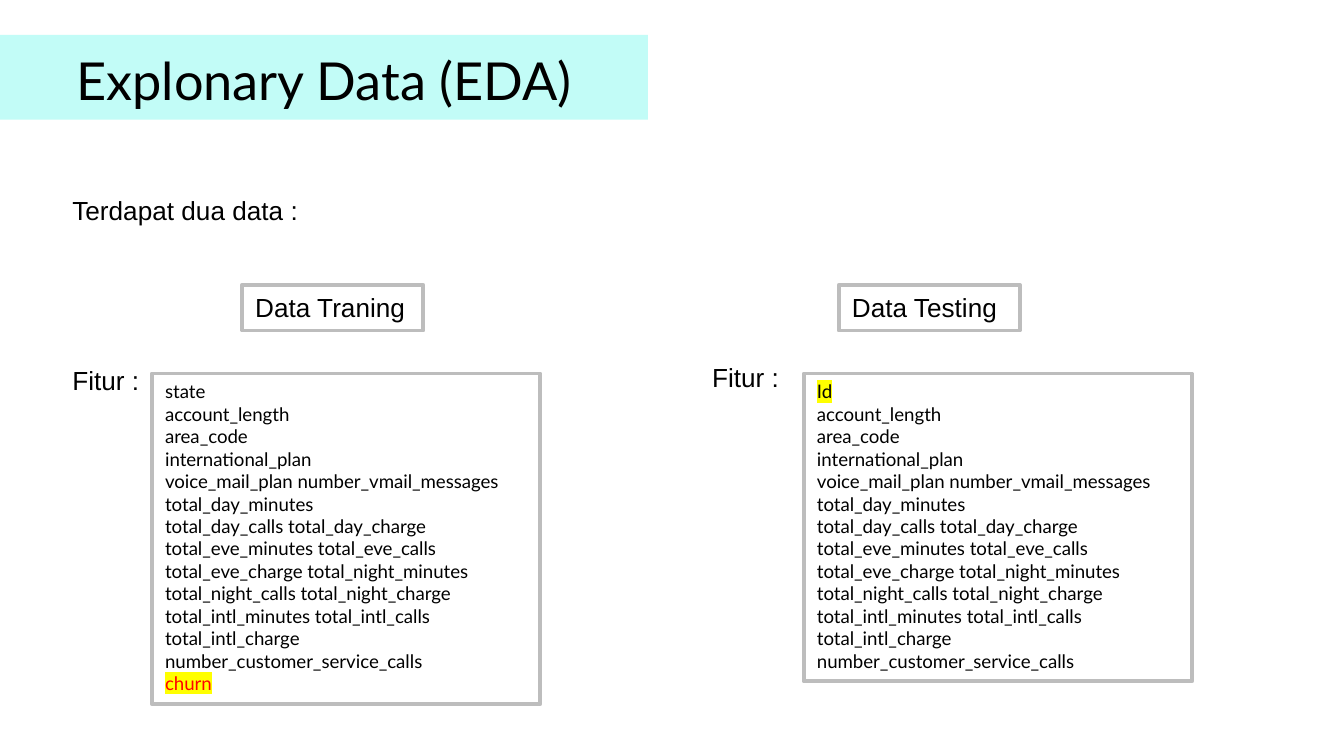
from lxml import etree
from pptx import Presentation
from pptx.dml.color import RGBColor
from pptx.enum import shapes, text
from pptx.oxml.ns import qn
from pptx.util import Inches, Pt

COLORS = {
    "white": "FFFFFF",
    "black": "000000",
    "mint": "C2FCF7",
    "border": "BDBDBD",
    "red": "FF0000",
    "yellow": "FFFF00",
}

# Features found in both data sets
COMMON_FEATURES = [
    "account_length",
    "area_code",
    "international_plan",
    "voice_mail_plan number_vmail_messages total_day_minutes",
    "total_day_calls total_day_charge total_eve_minutes total_eve_calls "
    "total_eve_charge total_night_minutes total_night_calls total_night_charge "
    "total_intl_minutes total_intl_calls total_intl_charge "
    "number_customer_service_calls",
]


def rgb(name):
    return RGBColor.from_string(COLORS[name])


def style_run(r, size, font, color="black"):
    r.font.size = Pt(size)
    r.font.name = font
    r.font.color.rgb = rgb(color)


def highlight(r, color="yellow"):
    """Add a text highlight, which must directly follow the run's fill."""
    hl = etree.Element(qn("a:highlight"))
    etree.SubElement(hl, qn("a:srgbClr"), val=COLORS[color])
    r._r.rPr.find(qn("a:solidFill")).addnext(hl)


def fill_text(sp, lines, size, font, margin=0.05, align=text.PP_ALIGN.LEFT):
    tf = sp.text_frame
    tf.word_wrap = True
    tf.vertical_anchor = text.MSO_ANCHOR.TOP
    tf.margin_left = tf.margin_right = Inches(0.1)
    tf.margin_top = tf.margin_bottom = Inches(margin)
    tf.text = "\n".join(lines)
    for p in tf.paragraphs:
        p.alignment = align
        for r in p.runs:
            style_run(r, size, font)
    return tf


def add_title(s, title):
    sp = s.shapes.title
    sp.left, sp.top, sp.width, sp.height = map(Inches, (0, 0.26, 4.82, 0.63))
    sp.fill.solid()
    sp.fill.fore_color.rgb = rgb("mint")
    fill_text(sp, [title], 28, "Lato", 0.1, text.PP_ALIGN.CENTER)


def add_label(s, x, y, w, label):
    sp = s.shapes.add_textbox(Inches(x), Inches(y), Inches(w), Inches(0.34))
    fill_text(sp, [label], 14, "Arial")


def add_box(s, x, y, w, h, lines, size, font):
    sp = s.shapes.add_shape(shapes.MSO_SHAPE.RECTANGLE,
                            Inches(x), Inches(y), Inches(w), Inches(h))
    sp.shadow.inherit = False
    sp.fill.solid()
    sp.fill.fore_color.rgb = rgb("white")
    sp.line.color.rgb = rgb("border")
    sp.line.width = Pt(2)
    return fill_text(sp, lines, size, font)


def add_data_set(s, name, name_x, label_x, label_y, list_x, list_h, features):
    """Add a named data set with its feature list; return the list's text."""
    add_box(s, name_x, 2.12, 1.35, 0.34, [name], 14, "Arial")
    add_label(s, label_x, label_y, 1.35, "Fitur :")
    return add_box(s, list_x, 2.78, 2.89, list_h, features, 10, "Lato")


def main():
    prs = Presentation()
    prs.slide_width = Inches(10)
    prs.slide_height = prs.slide_width * 9 // 16
    s = prs.slides.add_slide(prs.slide_layouts[5])

    # Heading and introduction
    add_title(s, "Explonary Data (EDA)")
    add_label(s, 0.44, 1.4, 2.13, "Terdapat dua data :")

    # Training data, with the target column marked
    tf = add_data_set(s, "Data Traning", 1.8, 0.44, 2.66, 1.13, 2.46,
                      ["state", *COMMON_FEATURES, "churn"])
    target = tf.paragraphs[-1].runs[0]
    target.font.color.rgb = rgb("red")
    highlight(target)

    # Testing data, with the identifier column marked
    tf = add_data_set(s, "Data Testing", 6.24, 5.2, 2.64, 5.98, 2.29,
                      ["Id", *COMMON_FEATURES])
    p = tf.paragraphs[0]
    highlight(p.runs[0])
    r = p.add_run()
    r.text = " "
    style_run(r, 10, "Lato")

    prs.save("out.pptx")


if __name__ == "__main__":
    main()
